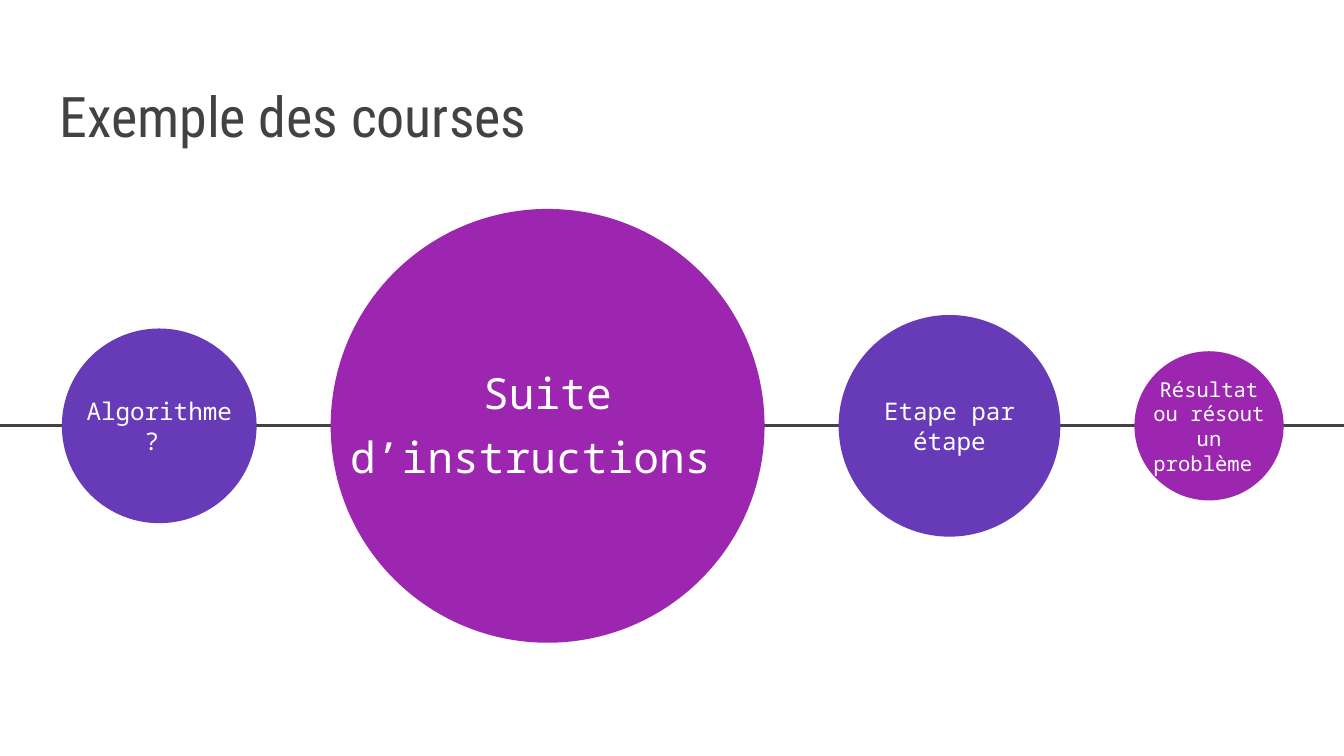
from pptx import Presentation
from pptx.dml.color import RGBColor
from pptx.enum.shapes import MSO_CONNECTOR, MSO_SHAPE
from pptx.enum.text import MSO_ANCHOR, MSO_AUTO_SIZE, PP_ALIGN
from pptx.oxml.ns import qn
from pptx.util import Cm, Pt
from lxml import etree

OVAL = MSO_SHAPE.OVAL
STRAIGHT = MSO_CONNECTOR.STRAIGHT
LEFT, CENTER = PP_ALIGN.LEFT, PP_ALIGN.CENTER
MIDDLE, BOTTOM = MSO_ANCHOR.MIDDLE, MSO_ANCHOR.BOTTOM
FIXED = MSO_AUTO_SIZE.NONE

WHITE = RGBColor(0xFF, 0xFF, 0xFF)
GRAY = RGBColor(0x42, 0x42, 0x42)
VIOLET = RGBColor(0x67, 0x3A, 0xB7)
PURPLE = RGBColor(0x9C, 0x26, 0xB0)

HEAD = "Roboto Condensed"
MONO = "Noto Sans Mono"
WIDTH, HEIGHT = Cm(25.4), Cm(14.29)
GAP = Cm(1.4)
LABEL = Cm(1.68)

STEPS = [
    (3.68, VIOLET, [("Algorithme ? ", 13)]),
    (8.2, PURPLE, [("Suite d’instructions", 23), (" ", 30)]),
    (4.19, VIOLET, [("Etape par étape", 13)]),
    (2.82, PURPLE, [("Résultat ou résout un problème ", 11)]),
]


def write(shape, parts, font=MONO, color=WHITE, align=CENTER, anchor=MIDDLE):
    frame = shape.text_frame
    frame.word_wrap = True
    frame.auto_size = FIXED
    frame.vertical_anchor = anchor
    frame.margin_left = frame.margin_right = Cm(0.25)
    frame.margin_top = frame.margin_bottom = Cm(0.25)
    para = frame.paragraphs[0]
    para.alignment = align
    for text, size in parts:
        run = para.add_run()
        run.text = text
        run.font.name = font
        run.font.size = Pt(size)
        run.font.color.rgb = color


def add_title(slide, text, left, top, width, height):
    title = slide.shapes.title
    title.left, title.top, title.width, title.height = left, top, width, height
    write(title, [(text, 30)], font=HEAD, color=GRAY, align=LEFT, anchor=BOTTOM)


def add_axis(slide, left, mid, width):
    line = slide.shapes.add_connector(STRAIGHT, left, mid, left + width, mid)
    line.line.color.rgb = GRAY
    line.line.width = Pt(1.5)
    etree.SubElement(line._element.spPr, qn("a:effectLst"))


def add_step(slide, parts, fill, left, mid, size):
    disc = slide.shapes.add_shape(OVAL, left, mid - size // 2, size, size)
    disc.shadow.inherit = False
    disc.fill.solid()
    disc.fill.fore_color.rgb = fill
    disc.line.fill.background()
    label = slide.shapes.add_textbox(left, mid - LABEL // 2, size, LABEL)
    write(label, parts)


def add_chain(slide, left, mid):
    add_axis(slide, 0, mid, WIDTH)
    for size, fill, parts in STEPS:
        add_step(slide, parts, fill, left, mid, Cm(size))
        left += Cm(size) + GAP


def main():
    deck = Presentation()
    deck.slide_width, deck.slide_height = WIDTH, HEIGHT
    slide = deck.slides.add_slide(deck.slide_layouts[5])
    slide.background.fill.solid()
    slide.background.fill.fore_color.rgb = WHITE
    add_title(slide, "Exemple des courses", Cm(0.87), Cm(1.04), Cm(23.67), Cm(2.03))
    add_chain(slide, Cm(1.17), Cm(8.05))
    deck.save("out.pptx")


if __name__ == "__main__":
    main()
